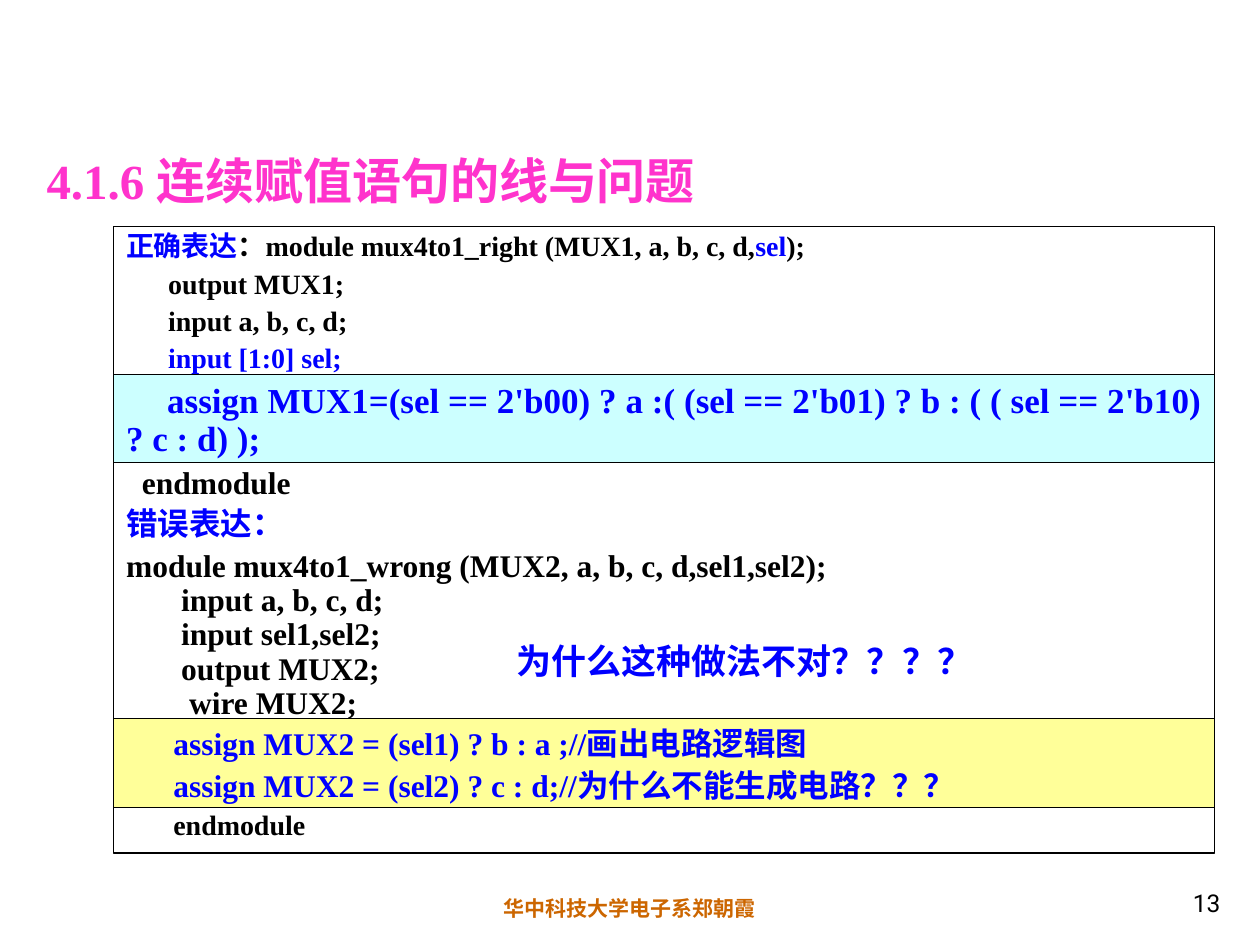
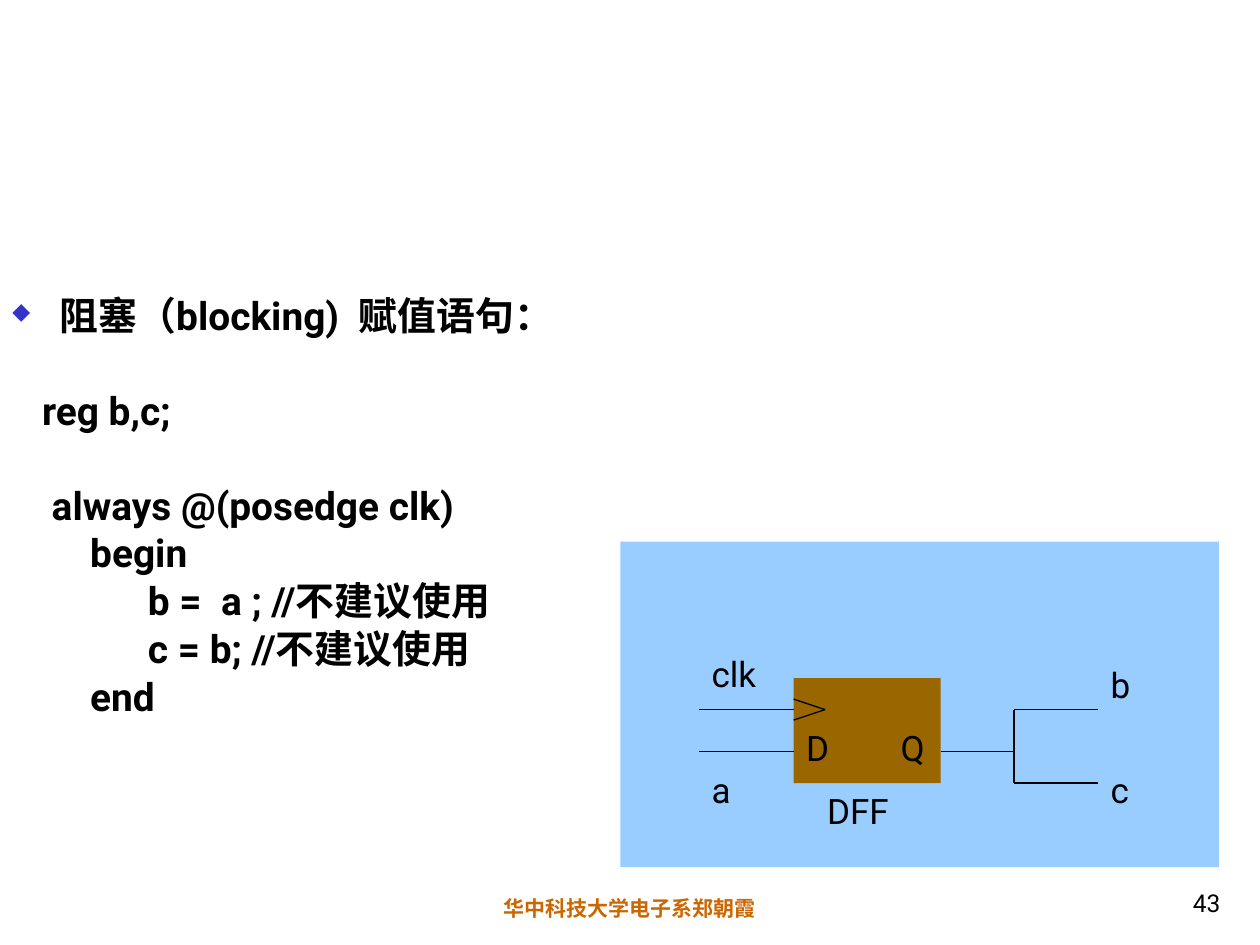
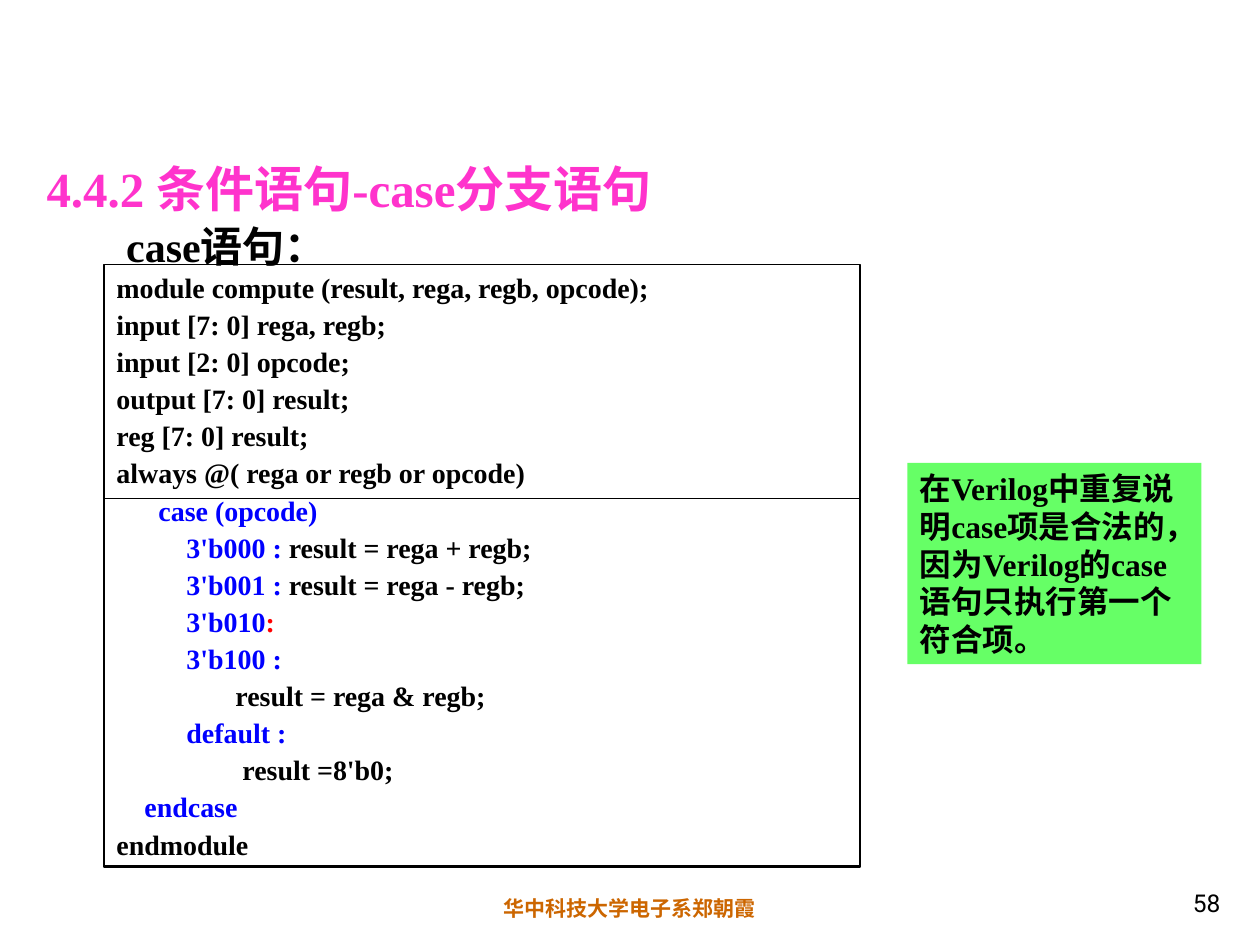
import functools
from dataclasses import dataclass
from typing import NamedTuple, Optional, Sequence

import lxml.etree
import pptx
import pptx.dml.color
import pptx.enum.shapes
import pptx.enum.text
import pptx.oxml.ns
import pptx.shapes.autoshape
import pptx.slide
import pptx.util

RGB = pptx.dml.color.RGBColor
BLACK = RGB(0x00, 0x00, 0x00)
WHITE = RGB(0xFF, 0xFF, 0xFF)
BLUE = RGB(0x00, 0x00, 0xFF)
RED = RGB(0xFF, 0x00, 0x00)
PINK = RGB(0xFF, 0x33, 0xCC)
ORANGE = RGB(0xCC, 0x66, 0x00)
CYAN = RGB(0xCC, 0xFF, 0xFF)
YELLOW = RGB(0xFF, 0xFF, 0x99)
SKY = RGB(0x99, 0xCC, 0xFF)
BROWN = RGB(0x99, 0x66, 0x00)
GREEN = RGB(0x66, 0xFF, 0x66)
BULLET_HEX = "3333CC"

SANS = "Roboto"
SERIF = "Times New Roman"
FOOTER = "华中科技大学电子系郑朝霞"

ALIGN = pptx.enum.text.PP_ALIGN
ANCHOR = pptx.enum.text.MSO_ANCHOR
LINE_WIDTH = 0.75


class Box(NamedTuple):
    left: float
    top: float
    width: float
    height: float

    def lengths(self) -> list[pptx.util.Pt]:
        return [pptx.util.Pt(v) for v in self]


class Run(NamedTuple):
    text: str
    color: RGB = BLACK
    font: Optional[str] = None


@dataclass(frozen=True)
class Line:
    """One paragraph; indent is the left margin, first the extra offset of its first line."""

    runs: Sequence[Run]
    size: float
    font: str = SERIF
    bold: bool = True
    indent: float = 0
    first: float = 0
    before: float = 0
    spacing: float = 1.0
    align: ALIGN = ALIGN.LEFT
    bullet: str = ""


class Label(NamedTuple):
    text: str
    left: float
    top: float
    width: float = 24


class Wire(NamedTuple):
    x1: float
    y1: float
    x2: float
    y2: float


def add_bullet(pPr: lxml.etree._Element, char: str) -> None:
    qn = pptx.oxml.ns.qn
    color = lxml.etree.SubElement(pPr, qn("a:buClr"))
    lxml.etree.SubElement(color, qn("a:srgbClr")).set("val", BULLET_HEX)
    lxml.etree.SubElement(pPr, qn("a:buSzPct")).set("val", "60000")
    lxml.etree.SubElement(pPr, qn("a:buChar")).set("char", char)


def fill_text(sp: pptx.shapes.autoshape.Shape, lines: Sequence[Line],
              anchor: ANCHOR = ANCHOR.TOP) -> None:
    tf = sp.text_frame
    tf.word_wrap = True
    tf.vertical_anchor = anchor
    for i, line in enumerate(lines):
        p = tf.add_paragraph() if i else tf.paragraphs[0]
        p.alignment = line.align
        p.space_before = pptx.util.Pt(line.before)
        p.line_spacing = line.spacing
        pPr = p._p.get_or_add_pPr()
        pPr.set("marL", str(pptx.util.Pt(line.indent)))
        pPr.set("indent", str(pptx.util.Pt(line.first)))
        if line.bullet:
            add_bullet(pPr, line.bullet)
        for run in line.runs:
            r = p.add_run()
            r.text = run.text
            r.font.name = run.font or line.font
            r.font.size = pptx.util.Pt(line.size)
            r.font.bold = line.bold
            r.font.color.rgb = run.color


def add_text(s: pptx.slide.Slide, box: Box, lines: Sequence[Line],
             anchor: ANCHOR = ANCHOR.TOP) -> None:
    fill_text(s.shapes.add_textbox(*box.lengths()), lines, anchor)


def add_rect(s: pptx.slide.Slide, box: Box, fill: Optional[RGB] = None,
             outlined: bool = False, lines: Sequence[Line] = ()) -> None:
    sp = s.shapes.add_shape(pptx.enum.shapes.MSO_SHAPE.RECTANGLE, *box.lengths())
    sp.shadow.inherit = False
    if fill is None:
        sp.fill.background()
    else:
        sp.fill.solid()
        sp.fill.fore_color.rgb = fill
    if outlined:
        sp.line.color.rgb = BLACK
        sp.line.width = pptx.util.Pt(LINE_WIDTH)
    else:
        sp.line.fill.background()
    if lines:
        fill_text(sp, lines)


def add_wire(s: pptx.slide.Slide, wire: Wire) -> None:
    ends = [pptx.util.Pt(v) for v in wire]
    c = s.shapes.add_connector(pptx.enum.shapes.MSO_CONNECTOR.STRAIGHT, *ends)
    c.line.color.rgb = BLACK
    c.line.width = pptx.util.Pt(LINE_WIDTH)
    lxml.etree.SubElement(c._element.spPr, pptx.oxml.ns.qn("a:effectLst"))


def add_slide(prs: pptx.presentation.Presentation, number: int) -> pptx.slide.Slide:
    """Add a blank slide with the shared footer and its page number."""
    s = prs.slides.add_slide(prs.slide_layouts[6])
    add_text(s, Box(0, 508, 720, 22),
             [Line([Run(FOOTER, ORANGE)], 12, SANS, before=7.5, align=ALIGN.CENTER)])
    add_text(s, Box(554.5, 492, 150, 36),
             [Line([Run(str(number))], 14, SANS, bold=False, align=ALIGN.RIGHT)],
             ANCHOR.BOTTOM)
    return s


def add_title(s: pptx.slide.Slide, text: str, top: float) -> None:
    add_text(s, Box(19.5, top, 624, 39), [Line([Run(text, PINK)], 28)], ANCHOR.BOTTOM)


def build_assign_slide(prs: pptx.presentation.Presentation) -> None:
    s = add_slide(prs, 13)
    add_title(s, "4.1.6 连续赋值语句的线与问题", 84)

    code = functools.partial(Line, size=18, before=4.5, spacing=0.9, align=ALIGN.JUSTIFY)
    small = functools.partial(code, size=16, before=4)
    tight = functools.partial(code, before=0, indent=31.5, align=ALIGN.LEFT)
    left, width = 65, 629
    add_rect(s, Box(left, 214, width, 50.5), CYAN, outlined=True)
    add_rect(s, Box(left, 410.5, width, 51), YELLOW, outlined=True)
    add_rect(s, Box(left, 129.5, width, 358), outlined=True, lines=[
        small([Run("正确表达", BLUE), Run("：module mux4to1_right (MUX1, a, b, c, d,"),
               Run("sel", BLUE), Run(");")]),
        small([Run("output MUX1;")], indent=24),
        small([Run("input a, b, c, d;")], indent=24),
        small([Run("input [1:0] sel;", BLUE)], indent=24),
        code([Run("assign MUX1=(sel == 2'b00) ? a :( (sel == 2'b01) ? b : "
                  "( ( sel == 2'b10) ? c : d) );", BLUE)], size=20, before=5, first=23.5),
        code([Run("endmodule")], indent=9),
        code([Run("错误表达：", BLUE)]),
        code([Run("module mux4to1_wrong (MUX2, a, b, c, d,sel1,sel2);")]),
        tight([Run("input a, b, c, d;")]),
        tight([Run("input sel1,sel2;")]),
        tight([Run("output MUX2;")]),
        tight([Run("wire MUX2;")], indent=36),
        code([Run("assign MUX2 = (sel1) ? b : a ;//画出电路逻辑图", BLUE)], indent=27),
        code([Run("assign MUX2 = (sel2) ? c : d;//为什么不能生成电路？？？", BLUE)], indent=27),
        small([Run("endmodule")], indent=27),
    ])
    add_text(s, Box(275, 366.5, 445, 29.5), [
        Line([Run("为什么这种做法不对？？？？", BLUE)], 20, SANS, indent=13,
             before=5, spacing=0.8)])


def build_blocking_slide(prs: pptx.presentation.Presentation) -> None:
    s = add_slide(prs, 43)
    code = functools.partial(Line, size=22.2, font=SANS, before=6, spacing=0.8)
    section_gap = 33
    add_text(s, Box(0, 168, 612, 324), [
        code([Run("阻塞（blocking)  赋值语句：")], indent=27, first=-27, bullet="◆"),
        code([Run("reg b,c;")], indent=17, before=section_gap),
        code([Run("always @(posedge clk)")], indent=22.5, before=section_gap),
        code([Run("begin")], indent=44.5),
        code([Run("b =  a ; //不建议使用")], indent=77.5),
        code([Run("c = b; //不建议使用")], indent=77.5),
        code([Run("end")], indent=44.5),
    ])

    add_rect(s, Box(354.5, 309.5, 342, 186), SKY)
    dff = Box(453.5, 387.5, 84, 60)
    add_rect(s, dff, BROWN)

    dff_right = dff.left + dff.width
    dff_bottom = dff.top + dff.height
    clk_y, data_y = 405.5, 429.5
    input_x, fork_x, output_x = 399.5, 579.5, 627.5
    tip_x, tip_rise = dff.left + 18, 6
    for wire in (
        Wire(input_x, clk_y, dff.left, clk_y),
        Wire(input_x, data_y, dff.left, data_y),
        Wire(dff.left, clk_y - tip_rise, tip_x, clk_y),
        Wire(tip_x, clk_y, dff.left, clk_y + tip_rise),
        Wire(dff_right, data_y, fork_x, data_y),
        Wire(fork_x, clk_y, fork_x, dff_bottom),
        Wire(fork_x, clk_y, output_x, clk_y),
        Wire(fork_x, dff_bottom, output_x, dff_bottom),
    ):
        add_wire(s, wire)

    for label in (
        Label("clk", input_x, 369.5, 48),
        Label("a", input_x, 435.5),
        Label("D", dff.left, 411.5),
        Label("Q", dff_right - 30, 411.5),
        Label("DFF", dff.left + 12, dff_bottom, 54),
        Label("b", output_x, 375.5),
        Label("c", output_x, 435.5),
    ):
        add_text(s, Box(label.left, label.top, label.width, 31),
                 [Line([Run(label.text)], 20, SANS, bold=False, before=12.5)])


def build_case_slide(prs: pptx.presentation.Presentation) -> None:
    s = add_slide(prs, 58)
    add_title(s, "4.4.2 条件语句-case分支语句", 88.5)

    code = functools.partial(Line, size=16, before=2)
    item = functools.partial(code, indent=40)
    left, width = 59.5, 432
    add_rect(s, Box(left, 285, width, 210), WHITE, outlined=True)
    add_rect(s, Box(left, 151, width, 344.5), outlined=True, lines=[
        code([Run("module compute (result, rega, regb, opcode);")]),
        code([Run("input [7: 0] rega, regb;")]),
        code([Run("input [2: 0] opcode;")]),
        code([Run("output [7: 0] result;")]),
        code([Run("reg [7: 0] result;")]),
        code([Run("always @( rega or regb or opcode)")]),
        code([Run("case (opcode)", BLUE)], indent=24),
        item([Run("3'b000 :", BLUE), Run(" result = rega + regb;")]),
        item([Run("3'b001 :", BLUE), Run(" result = rega - regb;")]),
        item([Run("3'b010", BLUE), Run(":", RED)]),
        item([Run("3'b100 :", BLUE)]),
        code([Run("result = rega & regb;")], indent=68),
        item([Run("default :", BLUE)]),
        code([Run("result =8'b0;")], indent=72),
        code([Run("endcase", BLUE)], indent=16),
        code([Run("endmodule")]),
    ])
    add_text(s, Box(65, 122.5, 630, 36),
             [Line([Run("case语句"), Run("：", font=SANS)], 24, before=15,
                   align=ALIGN.JUSTIFY)])
    add_rect(s, Box(518.5, 264.5, 168, 115), GREEN, lines=[
        Line([Run("在Verilog中重复说明case项是合法的，因为Verilog的case语句只执行第一个符合项。")], 18)])


def main() -> None:
    prs = pptx.Presentation()
    prs.slide_width = pptx.util.Pt(720)
    prs.slide_height = pptx.util.Pt(540)
    build_assign_slide(prs)
    build_blocking_slide(prs)
    build_case_slide(prs)
    prs.save("out.pptx")


if __name__ == "__main__":
    main()
